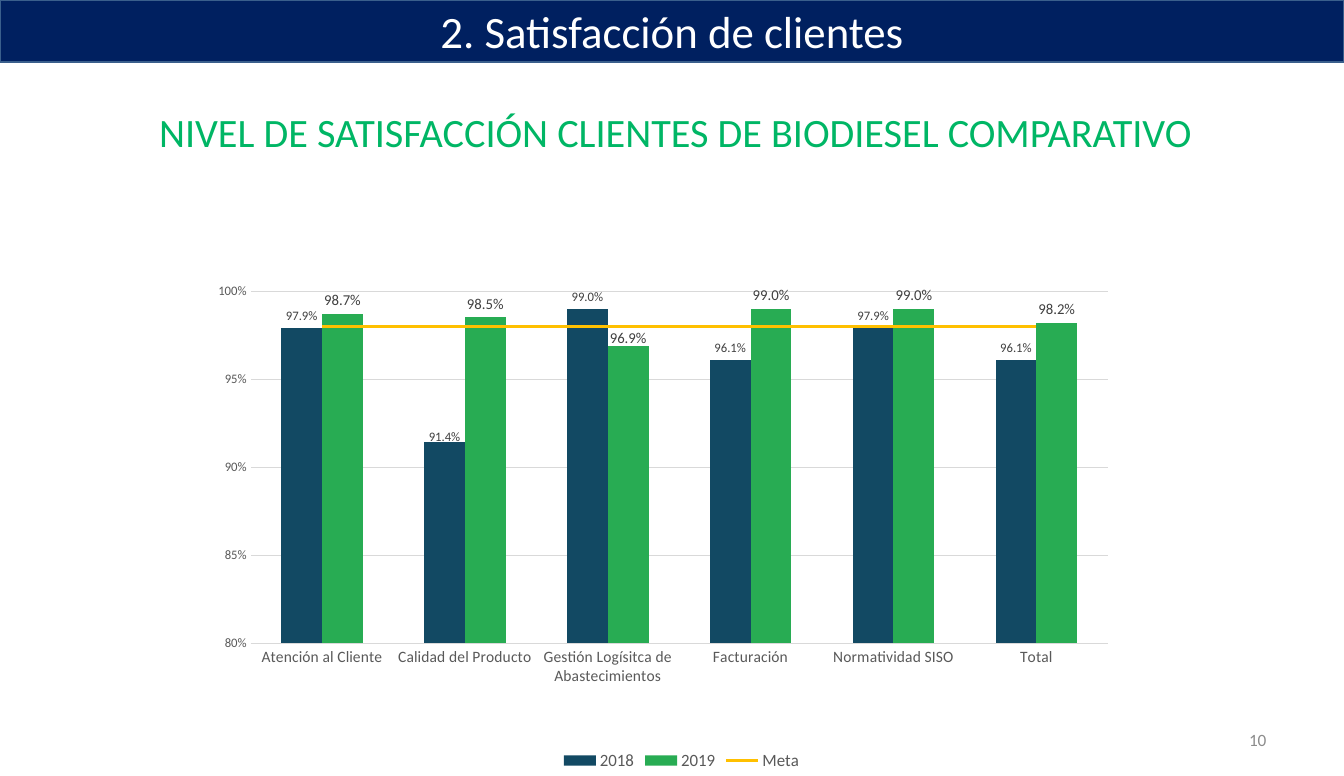
import copy

import lxml.etree
import pptx
import pptx.chart.data
import pptx.dml.color
import pptx.enum.chart
import pptx.enum.shapes
import pptx.enum.text
import pptx.oxml
import pptx.oxml.ns
import pptx.util

SCALE = 9144  # EMU per px, 100 px to the inch
FONT = "Calibri"
GREY = "595959"
RULE = "D9D9D9"
qn = pptx.oxml.ns.qn
NS = 'xmlns:c="http://schemas.openxmlformats.org/drawingml/2006/chart"'

AREAS = ["Atención al Cliente", "Calidad del Producto",
         "Gestión Logísitca de Abastecimientos", "Facturación",
         "Normatividad SISO", "Total"]
# name, colour, label size, values
BARS = [
    ("2018", "124963", 9, [0.979, 0.914, 0.99, 0.961, 0.979, 0.961]),
    ("2019", "28AC53", 10.5, [0.987, 0.985, 0.969, 0.99, 0.99, 0.982]),
]
GOAL = ("Meta", "FFC000", 0.98)
# bar series, area, downward shift as a share of the chart height
SHIFTS = [(0, 1, 0.01), (1, 2, 0.01)]


def px(n):
    return pptx.util.Emu(n * SCALE)


def rgb(code):
    return pptx.dml.color.RGBColor.from_string(code)


def xml(text):
    return pptx.oxml.parse_xml(text)


def layout(x, y, extra="", target=""):
    return xml(f'<c:layout {NS}><c:manualLayout>{target}'
               f'<c:x val="{x}"/><c:y val="{y}"/>{extra}'
               '</c:manualLayout></c:layout>')


class Deck:
    def __init__(self, wide, high):
        self.prs = pptx.Presentation()
        self.prs.slide_width = px(wide)
        self.prs.slide_height = px(high)
        self.slide = self.prs.slides.add_slide(self.prs.slide_layouts[5])

    def style(self, font, size, color):
        font.name = FONT
        font.size = pptx.util.Pt(size)
        font.color.rgb = rgb(color)

    def stroke(self, line, color, width):
        line.color.rgb = rgb(color)
        line.width = pptx.util.Pt(width)

    def label(self, shape, text, size, color, align, anchor="MIDDLE"):
        frame = shape.text_frame
        frame.word_wrap = True
        frame.auto_size = pptx.enum.text.MSO_AUTO_SIZE.NONE
        frame.vertical_anchor = pptx.enum.text.MSO_ANCHOR[anchor]
        para = frame.paragraphs[0]
        para.alignment = pptx.enum.text.PP_ALIGN[align]
        run = para.add_run()
        run.text = text
        self.style(run.font, size, color)

    def title(self, box, text, size, color):
        shape = self.slide.shapes.title
        shape.left, shape.top, shape.width, shape.height = map(px, box)
        self.label(shape, text, size, color, "CENTER")
        # Bring the title in front of the band
        self.slide.shapes._spTree.append(shape._element)

    def text(self, box, text, size, color, align, anchor):
        shape = self.slide.shapes.add_textbox(*map(px, box))
        self.label(shape, text, size, color, align, anchor)

    def band(self, box, fill, line, width):
        kind = pptx.enum.shapes.MSO_SHAPE.RECTANGLE
        shape = self.slide.shapes.add_shape(kind, *map(px, box))
        shape.shadow.inherit = False
        shape.fill.solid()
        shape.fill.fore_color.rgb = rgb(fill)
        self.stroke(shape.line, line, width)

    def chart(self, box):
        name, color, goal = GOAL
        data = pptx.chart.data.CategoryChartData(number_format="0.0%")
        data.categories = AREAS
        for bar in BARS:
            data.add_series(bar[0], bar[3])
        data.add_series(name, [goal] * len(AREAS))
        kind = pptx.enum.chart.XL_CHART_TYPE.COLUMN_CLUSTERED
        chart = self.slide.shapes.add_chart(kind, *map(px, box), data).chart
        chart.has_title = False
        self.style(chart.font, 10, "000000")
        self.axes(chart)
        self.bars(chart.plots[0])
        self.goal(chart, color)

        # Legend and plot area
        chart.has_legend = True
        chart.legend.position = pptx.enum.chart.XL_LEGEND_POSITION.BOTTOM
        chart.legend.include_in_layout = False
        self.style(chart.legend.font, 12, GREY)
        area = chart._chartSpace.chart.plotArea
        for old in area.findall(qn("c:layout")):
            area.remove(old)
        area.insert(0, layout(
            0.015, 0.214, '<c:w val="0.965"/><c:h val="0.572"/>',
            '<c:layoutTarget val="inner"/><c:xMode val="edge"/>'
            '<c:yMode val="edge"/>'))

    def axes(self, chart):
        cat, val = chart.category_axis, chart.value_axis
        for axis, size in ((cat, 11), (val, 9)):
            axis.major_tick_mark = pptx.enum.chart.XL_TICK_MARK.NONE
            axis.minor_tick_mark = pptx.enum.chart.XL_TICK_MARK.NONE
            self.style(axis.tick_labels.font, size, GREY)
        self.stroke(cat.format.line, RULE, 0.75)
        val.format.line.fill.background()
        val.minimum_scale, val.maximum_scale = 0.8, 1
        val.major_unit = 0.05
        val.tick_labels.number_format = "0%"
        val.tick_labels.number_format_is_linked = False
        val.has_major_gridlines = True
        self.stroke(val.major_gridlines.format.line, RULE, 0.75)

    def bars(self, plot):
        plot.gap_width, plot.overlap = 150, 0
        plot.vary_by_categories = False
        end = pptx.enum.chart.XL_LABEL_POSITION.OUTSIDE_END
        for series, (_, color, size, _) in zip(plot.series, BARS):
            series.format.fill.solid()
            series.format.fill.fore_color.rgb = rgb(color)
            series.invert_if_negative = False
            labels = series.data_labels
            labels.show_value = True
            labels.number_format = "0.0%"
            labels.number_format_is_linked = False
            labels.position = end
            self.style(labels.font, size, "404040")
        # Labels set closer to their bars
        for row, col, drop in SHIFTS:
            series = plot.series[row]
            label = series.points[col].data_label
            label.position = end
            self.style(label.font, BARS[row][2], "404040")
            for idx in series._element.iterfind(".//" + qn("c:dLbl")
                                                + "/" + qn("c:idx")):
                idx.addnext(xml(f'<c:numFmt {NS} formatCode="0.0%" '
                                'sourceLinked="0"/>'))
                idx.addnext(layout(0, drop))

    def goal(self, chart, color):
        # Move the last series to a line plot on the same axes
        bars = chart.plots[0]._element
        ser = bars.findall(qn("c:ser"))[-1]
        for flag in ser.findall(qn("c:invertIfNegative")):
            ser.remove(flag)
        line = xml(f'<c:lineChart {NS}><c:grouping val="standard"/>'
                   '<c:varyColors val="0"/></c:lineChart>')
        line.append(ser)
        lxml.etree.SubElement(line, qn("c:marker")).set("val", "1")
        for axis in bars.findall(qn("c:axId")):
            line.append(copy.deepcopy(axis))
        bars.addnext(line)
        series = chart.plots[1].series[0]
        series.smooth = False
        series.marker.style = pptx.enum.chart.XL_MARKER_STYLE.NONE
        self.stroke(series.format.line, color, 2.25)


def main():
    deck = Deck(1299, 750)
    # Chart and its heading
    deck.chart((211, 154, 877, 595))
    deck.text((144, 99, 1116, 57),
              "NIVEL DE SATISFACCIÓN CLIENTES DE BIODIESEL COMPARATIVO",
              28, "00B665", "LEFT", "TOP")
    # Title band
    deck.band((0, 0, 1299, 60), "002060", "3A5F8C", 2)
    deck.title((66, -1, 1167, 61), "2. Satisfacción de clientes",
               31.2, "FFFFFF")
    # Page number
    deck.text((931, 695, 303, 40), "10", 12, "8C8C8C", "RIGHT", "MIDDLE")
    deck.prs.save("out.pptx")


if __name__ == "__main__":
    main()
